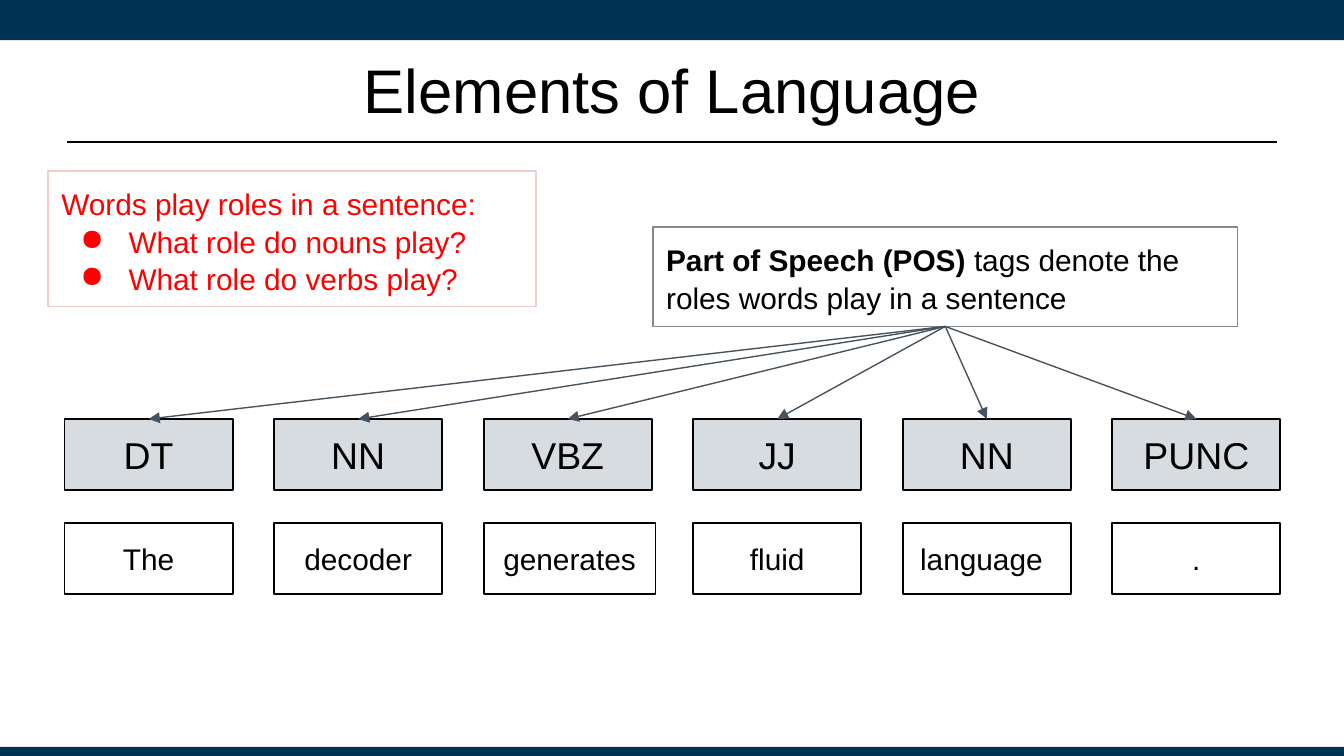
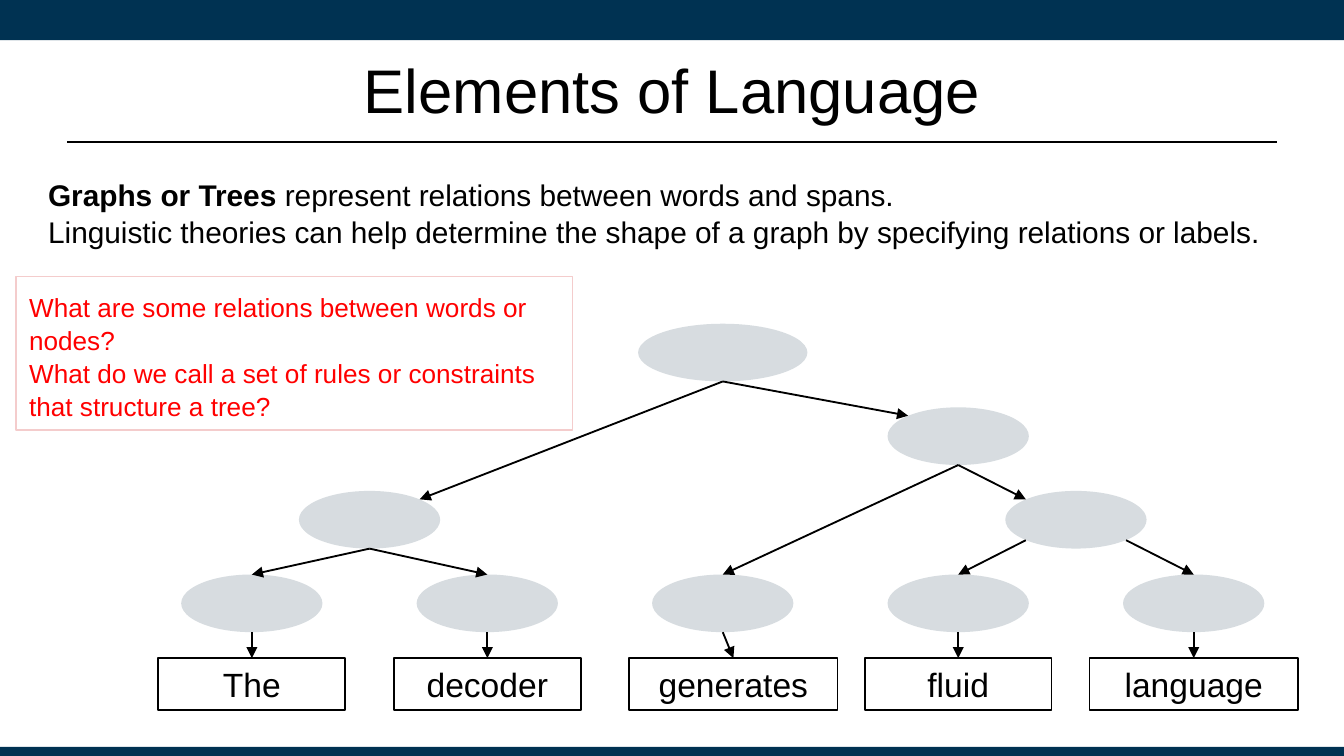
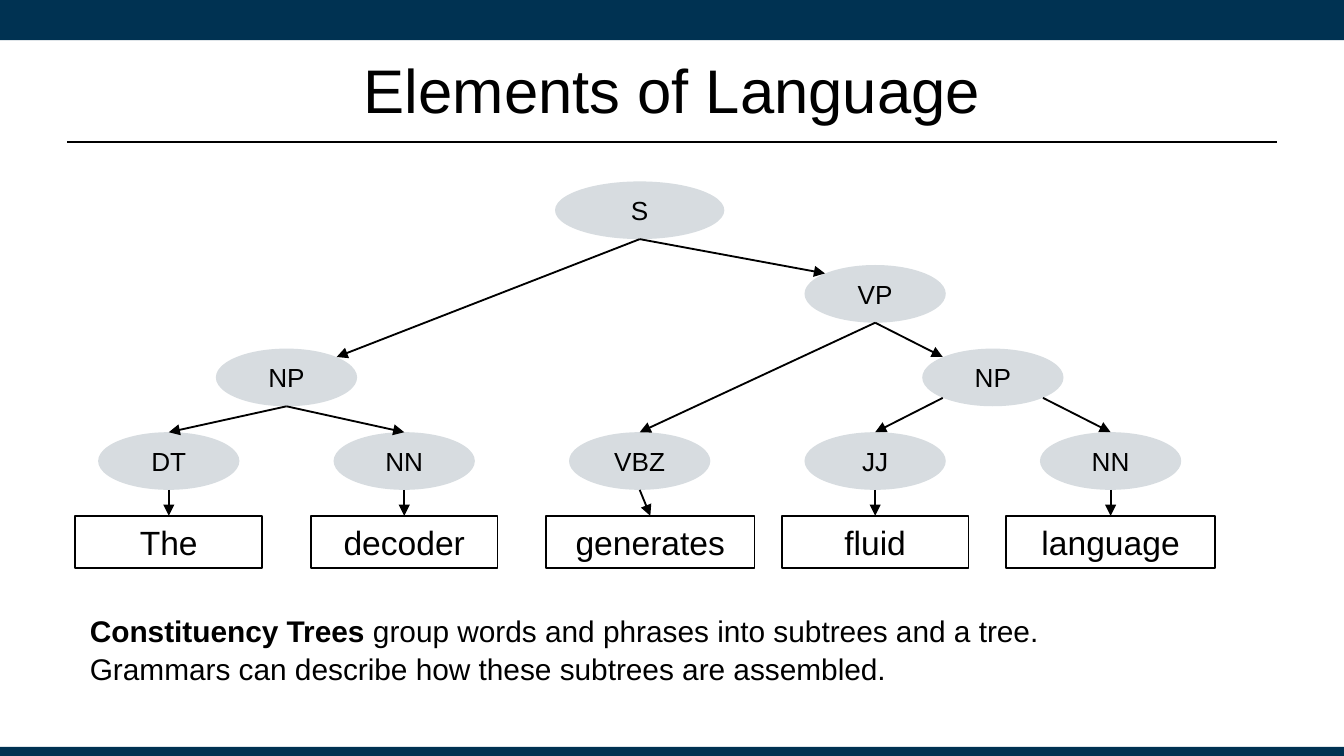
from dataclasses import dataclass

from lxml import etree
from pptx import Presentation
from pptx.dml.color import RGBColor
from pptx.enum.shapes import MSO_CONNECTOR, MSO_SHAPE
from pptx.enum.text import MSO_ANCHOR, MSO_AUTO_SIZE, PP_ALIGN
from pptx.oxml.ns import qn
from pptx.util import Cm, Pt

RECTANGLE, ELLIPSE = MSO_SHAPE.RECTANGLE, MSO_SHAPE.OVAL
STRAIGHT = MSO_CONNECTOR.STRAIGHT
LEFT, CENTER = PP_ALIGN.LEFT, PP_ALIGN.CENTER
TOP, MIDDLE = MSO_ANCHOR.TOP, MSO_ANCHOR.MIDDLE
TITLE_ONLY = 5


@dataclass(frozen=True)
class Theme:
    font: str = "Arial"
    navy: RGBColor = RGBColor(0x00, 0x32, 0x52)
    black: RGBColor = RGBColor(0, 0, 0)
    white: RGBColor = RGBColor(0xFF, 0xFF, 0xFF)
    red: RGBColor = RGBColor(0xFF, 0, 0)
    pink: RGBColor = RGBColor(0xF4, 0xCC, 0xCC)
    gray: RGBColor = RGBColor(0x88, 0x88, 0x88)
    node: RGBColor = RGBColor(0xD7, 0xDC, 0xE0)
    slate: RGBColor = RGBColor(0x46, 0x53, 0x5E)
    title_size: float = 33
    tag_size: float = 20
    word_size: float = 18
    text_size: float = 16
    small_size: float = 14
    line_spacing: float = 1.05


THEME = Theme()


@dataclass(frozen=True)
class Line:
    """One paragraph: an optional bold lead, then plain text."""
    text: str
    lead: str = ""
    bullet: bool = False


# Content; lengths are centimetres
TITLE = "Elements of Language"

ROLE_QUESTIONS = [
    Line("Words play roles in a sentence:"),
    Line("What role do nouns play?", bullet=True),
    Line("What role do verbs play?", bullet=True),
]
POS_NOTE = [Line(" tags denote the roles words play in a sentence", "Part of Speech (POS)")]
# tag, word, word box width, word alignment
TAGGED_WORDS = [
    ("DT", "The", 3.18, CENTER),
    ("NN", "decoder", 3.18, CENTER),
    ("VBZ", "generates", 3.25, CENTER),
    ("JJ", "fluid", 3.18, CENTER),
    ("NN", "language", 3.18, LEFT),
    ("PUNC", ".", 3.18, CENTER),
]

GRAPH_NOTE = [
    Line(" represent relations between words and spans.", "Graphs or Trees"),
    Line("Linguistic theories can help determine the shape of a graph "
         "by specifying relations or labels."),
]
TREE_QUESTIONS = [
    Line("What are some relations between words or nodes?"),
    Line("What do we call a set of rules or constraints that structure a tree?"),
]
CONSTITUENCY_NOTE = [
    Line(" group words and phrases into subtrees and a tree.", "Constituency Trees"),
    Line("Grammars can describe how these subtrees are assembled."),
]

# name: label, column, row, width
TREE_NODES = {
    "sentence": ("S", 2, 0, 3.2),
    "verb phrase": ("VP", 3, 1, 2.67),
    "subject": ("NP", 0.5, 2, 2.67),
    "object": ("NP", 3.5, 2, 2.67),
    "determiner": ("DT", 0, 3, 2.67),
    "subject noun": ("NN", 1, 3, 2.67),
    "verb": ("VBZ", 2, 3, 2.67),
    "adjective": ("JJ", 3, 3, 2.67),
    "object noun": ("NN", 4, 3, 2.67),
}
# leaf, word, box width, shift of the box from its column
TREE_WORDS = [
    ("determiner", "The", 3.53, 0),
    ("subject noun", "decoder", 3.53, 0),
    ("verb", "generates", 3.94, 0.2),
    ("adjective", "fluid", 3.53, 0),
    ("object noun", "language", 3.94, 0),
]
# parent, side it leaves from, child, side it reaches
TREE_EDGES = [
    ("sentence", "bottom", "subject", "top right"),
    ("sentence", "bottom", "verb phrase", "top left"),
    ("verb phrase", "bottom", "verb", "top"),
    ("verb phrase", "bottom", "object", "top left"),
    ("subject", "bottom", "determiner", "top"),
    ("subject", "bottom", "subject noun", "top"),
    ("object", "bottom left", "adjective", "top"),
    ("object", "bottom right", "object noun", "top"),
]
DIAGONAL = 0.71
SIDES = {
    "top": (0, -1),
    "bottom": (0, 1),
    "top left": (-DIAGONAL, -DIAGONAL),
    "top right": (DIAGONAL, -DIAGONAL),
    "bottom left": (-DIAGONAL, DIAGONAL),
    "bottom right": (DIAGONAL, DIAGONAL),
}
COLUMN_STEP, ROW_STEP = 4.45, 1.58
NODE_HEIGHT, WORD_HEIGHT = 1.09, 0.99


def add_box(shapes, at, fill=None, border=None, border_width=1, kind=RECTANGLE):
    box = shapes.add_shape(kind, *map(Cm, at))
    box.shadow.inherit = False
    if fill is None:
        box.fill.background()
    else:
        box.fill.solid()
        box.fill.fore_color.rgb = fill
    if border is None:
        box.line.fill.background()
    else:
        box.line.color.rgb = border
        box.line.width = Pt(border_width)
    return box


def add_line(shapes, start, end, color=THEME.black, width=1, arrow=True):
    line = shapes.add_connector(STRAIGHT, *map(Cm, (*start, *end)))
    line.line.color.rgb = color
    line.line.width = Pt(width)
    properties = line.element.spPr
    if arrow:
        etree.SubElement(properties.find(qn("a:ln")), qn("a:tailEnd"), type="triangle")
    etree.SubElement(properties, qn("a:effectLst"))
    return line


def style_paragraph(para, size, color, align):
    para.alignment = align
    for span in para.runs:
        span.font.name = THEME.font
        span.font.size = Pt(size)
        span.font.color.rgb = color


def set_frame(frame, anchor, side, edge):
    frame.word_wrap = True
    frame.vertical_anchor = anchor
    frame.margin_left = frame.margin_right = Cm(side)
    frame.margin_top = frame.margin_bottom = Cm(edge)


def add_label(box, text, size, align=CENTER):
    frame = box.text_frame
    set_frame(frame, MIDDLE, 0.33, 0.33)
    frame.text = text
    style_paragraph(frame.paragraphs[0], size, THEME.black, align)


def add_bullet(para):
    properties = para._p.get_or_add_pPr()
    properties.set("marL", str(Cm(1.27)))
    properties.set("indent", str(Cm(-0.91)))
    etree.SubElement(properties, qn("a:buChar"), char="●")


def add_note(page, at, lines, size=THEME.text_size, color=THEME.black, border=None):
    """Paragraphs in a box that grows with its text."""
    if border is None:
        box = page.shapes.add_textbox(*map(Cm, at))
    else:
        box = add_box(page.shapes, at, border=border, border_width=0.75)
    frame = box.text_frame
    set_frame(frame, TOP, 0.25, 0.25)
    frame.auto_size = MSO_AUTO_SIZE.SHAPE_TO_FIT_TEXT
    for index, line in enumerate(lines):
        para = frame.add_paragraph() if index else frame.paragraphs[0]
        para.text = line.lead or line.text
        if line.lead:
            para.runs[0].font.bold = True
            para.add_run().text = line.text
        style_paragraph(para, size, color, LEFT)
        para.line_spacing = THEME.line_spacing
        if line.bullet:
            add_bullet(para)
    return box


def add_page(deck):
    page = deck.slides.add_slide(deck.slide_layouts[TITLE_ONLY])
    frame = page.shapes.title.text_frame
    frame.text = TITLE
    set_frame(frame, MIDDLE, 0.18, 0.1)
    frame.auto_size = MSO_AUTO_SIZE.NONE
    style_paragraph(frame.paragraphs[0], THEME.title_size, THEME.black, CENTER)
    return page


def set_layout(layout, page):
    """Draw the bands and the title rule on a page, then move them to its layout."""
    for holder in list(layout.placeholders):
        if holder.placeholder_format.idx:
            layout.shapes.element.remove(holder.element)
        else:
            holder.left, holder.top = Cm(1.27), Cm(0.48)
            holder.width, holder.height = Cm(22.86), Cm(2.39)
    parts = [
        add_box(page.shapes, (0, 0, 25.4, 0.76), THEME.navy),
        add_box(page.shapes, (0, 14.12, 25.4, 0.2), THEME.navy),
        add_line(page.shapes, (1.27, 2.69), (24.13, 2.69), width=1.25, arrow=False),
    ]
    for part in parts:
        layout.shapes.element.append(part.element)


def add_tree(page, left, top, labelled):
    """Tree whose first column is centred on left and whose root starts at top."""
    shapes = page.shapes.add_group_shape().shapes
    centers = {}
    for name, (label, column, row, width) in TREE_NODES.items():
        x, y = left + column * COLUMN_STEP, top + row * ROW_STEP
        centers[name] = (x, y + NODE_HEIGHT / 2)
        node = add_box(shapes, (x - width / 2, y, width, NODE_HEIGHT), THEME.node, kind=ELLIPSE)
        if labelled:
            add_label(node, label, THEME.small_size)

    def side_point(name, side):
        (x, y), (across, down) = centers[name], SIDES[side]
        return x + across * TREE_NODES[name][3] / 2, y + down * NODE_HEIGHT / 2

    for parent, leaving, child, reaching in TREE_EDGES:
        add_line(shapes, side_point(parent, leaving), side_point(child, reaching))
    word_top = top + 4 * ROW_STEP
    for leaf, word, width, shift in TREE_WORDS:
        x = centers[leaf][0] + shift
        box = add_box(shapes, (x - width / 2, word_top, width, WORD_HEIGHT), border=THEME.black)
        add_label(box, word, THEME.word_size)
        add_line(shapes, side_point(leaf, "bottom"), (x, word_top))


def add_tagged_sentence(page, note):
    """A tag above each word, with an arrow from the note to every tag."""
    left, step, tag_width, height = 1.22, 3.96, 3.18, 1.35
    shapes = page.shapes.add_group_shape().shapes
    tags = []
    for index, (tag, word, width, align) in enumerate(TAGGED_WORDS):
        x = left + index * step
        tag_box = add_box(shapes, (x, 7.92, tag_width, height), THEME.node, THEME.black)
        add_label(tag_box, tag, THEME.tag_size)
        word_box = add_box(shapes, (x, 9.88, width, height), THEME.white, THEME.black)
        add_label(word_box, word, THEME.text_size, align)
        tags.append(tag_box)
    for tag_box in tags:
        arrow = add_line(page.shapes, (0, 0), (0, 0), THEME.slate, 0.75)
        arrow.begin_connect(note, 2)
        arrow.end_connect(tag_box, 0)


def main():
    deck = Presentation()
    deck.slide_width, deck.slide_height = Cm(25.4), Cm(14.29)

    page = add_page(deck)
    set_layout(deck.slide_layouts[TITLE_ONLY], page)
    add_note(page, (0.91, 3.23, 9.22, 2.57), ROLE_QUESTIONS, color=THEME.red, border=THEME.pink)
    pos_note = add_note(page, (12.34, 4.29, 11.05, 1.88), POS_NOTE, border=THEME.gray)
    add_tagged_sentence(page, pos_note)

    page = add_page(deck)
    add_tree(page, 4.76, 6.12, labelled=False)
    add_note(page, (0.66, 3.05, 24.18, 1.88), GRAPH_NOTE)
    add_note(page, (0.3, 5.23, 10.52, 2.9), TREE_QUESTIONS,
             THEME.small_size, THEME.red, THEME.pink)

    page = add_page(deck)
    add_tree(page, 3.19, 3.43, labelled=True)
    add_note(page, (1.45, 11.3, 19.61, 1.88), CONSTITUENCY_NOTE)

    deck.save("out.pptx")


if __name__ == "__main__":
    main()
